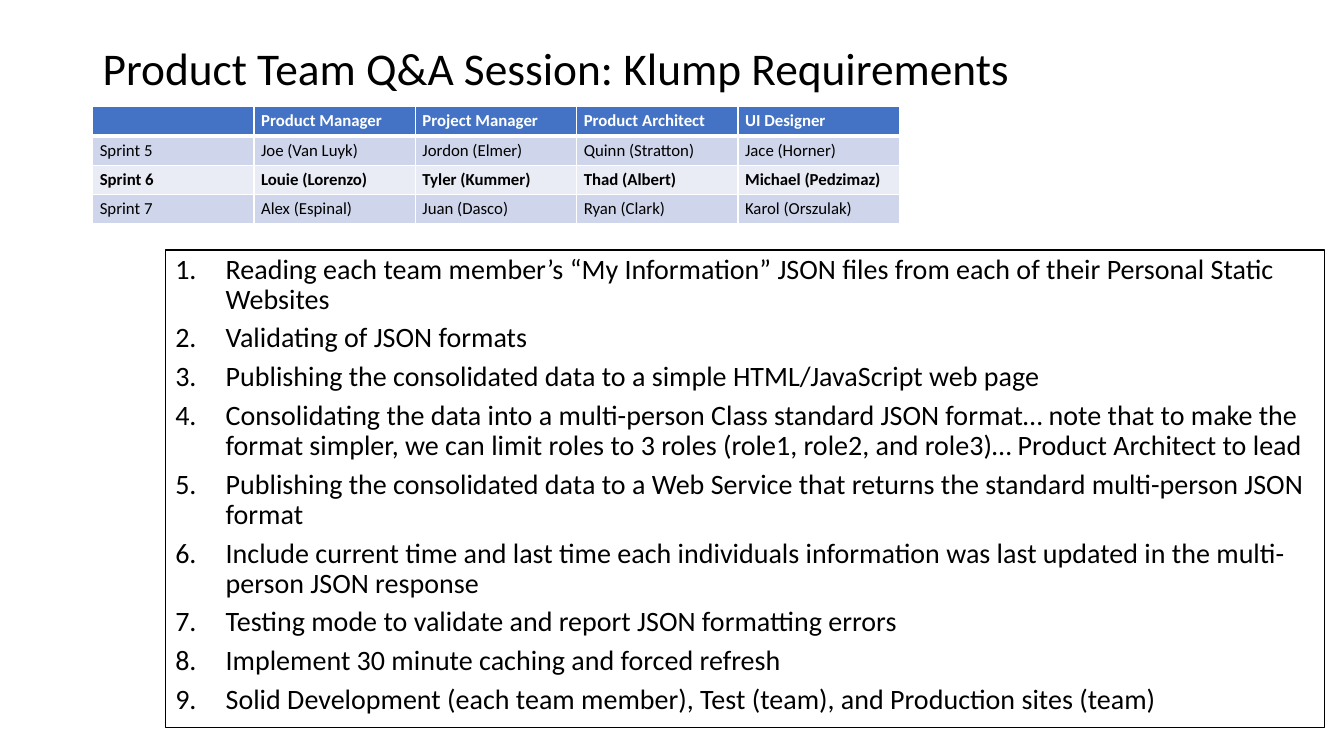
from lxml.etree import SubElement
from pptx import Presentation
from pptx.dml.color import RGBColor
from pptx.enum.text import MSO_ANCHOR
from pptx.oxml.ns import qn
from pptx.util import Emu, Pt

EMU_PER_PX = 9144
FONT = "Calibri"
COLORS = {
    "ink": "000000",
    "paper": "FFFFFF",
    "header": "4472C4",
    "odd_sprint": "CFD5EA",
    "even_sprint": "E9EBF5",
}
TEAM_ROWS = [
    ["", "Product Manager", "Project Manager", "Product Architect", "UI Designer"],
    ["Sprint 5", "Joe (Van Luyk)", "Jordon (Elmer)", "Quinn (Stratton)", "Jace (Horner)"],
    ["Sprint 6", "Louie (Lorenzo)", "Tyler (Kummer)", "Thad (Albert)", "Michael (Pedzimaz)"],
    ["Sprint 7", "Alex (Espinal)", "Juan (Dasco)", "Ryan (Clark)", "Karol (Orszulak)"],
]
CURRENT_SPRINT = 2
REQUIREMENTS = [
    "Reading each team member’s “My Information” JSON files from each of their Personal Static Websites",
    "Validating of JSON formats",
    "Publishing the consolidated data to a simple HTML/JavaScript web page",
    "Consolidating the data into a multi-person Class standard JSON format… note that to make the "
    "format simpler, we can limit roles to 3 roles (role1, role2, and role3)… Product Architect to lead",
    "Publishing the consolidated data to a Web Service that returns the standard multi-person JSON format",
    "Include current time and last time each individuals information was last updated in the "
    "multi-person JSON response",
    "Testing mode to validate and report JSON formatting errors",
    "Implement 30 minute caching and forced refresh",
    "Solid Development (each team member), Test (team), and Production sites (team)",
]


def px(length):
    """Turn a length in px into EMU."""
    return Emu(length * EMU_PER_PX)


def color(name):
    """Look up a named colour."""
    return RGBColor.from_string(COLORS[name])


def add_run(paragraph, text, size, ink="ink", bold=False):
    """Add one styled run to a paragraph."""
    run = paragraph.add_run()
    run.text = text
    run.font.name = FONT
    run.font.size = Pt(size)
    run.font.bold = bold
    run.font.color.rgb = color(ink)


def add_text_frame(slide, left, top, width, height, anchor):
    """Add a wrapping text box and return it."""
    box = slide.shapes.add_textbox(px(left), px(top), px(width), px(height))
    box.text_frame.word_wrap = True
    box.text_frame.vertical_anchor = anchor
    return box


def add_title(slide, text):
    """Add the slide title."""
    title = add_text_frame(slide, 92, 40, 1150, 61, MSO_ANCHOR.MIDDLE)
    paragraph = title.text_frame.paragraphs[0]
    paragraph.line_spacing = 0.9
    add_run(paragraph, text, 32.4)


def set_borders(cell, top, bottom):
    """Draw white borders with the given top and bottom widths in points."""
    properties = cell._tc.get_or_add_tcPr()
    for side, width in (("L", 1), ("R", 1), ("T", top), ("B", bottom)):
        line = SubElement(properties, qn(f"a:ln{side}"), w=str(Pt(width)))
        fill = SubElement(line, qn("a:solidFill"))
        SubElement(fill, qn("a:srgbClr"), val=COLORS["paper"])


def fill_cell(cell, text, row):
    """Style one team cell according to its row."""
    is_header = row == 0
    set_borders(cell, 3 if row == 1 else 1, 3 if is_header else 1)
    cell.margin_left = cell.margin_right = px(7)
    cell.margin_top = cell.margin_bottom = px(4)
    band = "odd_sprint" if row % 2 else "even_sprint"
    cell.fill.solid()
    cell.fill.fore_color.rgb = color("header" if is_header else band)
    paragraph = cell.text_frame.paragraphs[0]
    if text:
        add_run(paragraph, text, 12, "paper" if is_header else "ink",
                row in (0, CURRENT_SPRINT))
    else:
        SubElement(paragraph._p, qn("a:endParaRPr"), sz="1200")


def add_team_table(slide, rows):
    """Add the table of roles per sprint."""
    team = slide.shapes.add_table(
        len(rows), len(rows[0]), px(92), px(106), px(800), px(115)).table
    for column in team.columns:
        column.width = px(160)
    for row, names in enumerate(rows):
        team.rows[row].height = px(29)
        for column, name in enumerate(names):
            fill_cell(team.cell(row, column), name, row)


def add_requirements(slide, items):
    """Add the framed, numbered requirements."""
    frame = add_text_frame(slide, 164, 248, 1150, 474, MSO_ANCHOR.TOP)
    frame.line.color.rgb = color("ink")
    frame.line.width = Pt(1)
    text_frame = frame.text_frame
    for index, item in enumerate(items):
        paragraph = text_frame.add_paragraph() if index else text_frame.paragraphs[0]
        paragraph.line_spacing = 0.9
        paragraph.space_before = Pt(6 if index else 0)
        properties = paragraph._p.get_or_add_pPr()
        properties.set("marL", str(px(50)))
        properties.set("indent", str(px(-50)))
        SubElement(properties, qn("a:buFont"), typeface="+mj-lt")
        SubElement(properties, qn("a:buAutoNum"), type="arabicPeriod")
        add_run(paragraph, item, 20)


def main():
    """Build and save the slide."""
    deck = Presentation()
    deck.slide_width, deck.slide_height = px(1333), px(750)
    slide = deck.slides.add_slide(deck.slide_layouts[6])
    add_title(slide, "Product Team Q&A Session: Klump Requirements")
    add_team_table(slide, TEAM_ROWS)
    add_requirements(slide, REQUIREMENTS)
    deck.save("out.pptx")


if __name__ == "__main__":
    main()
